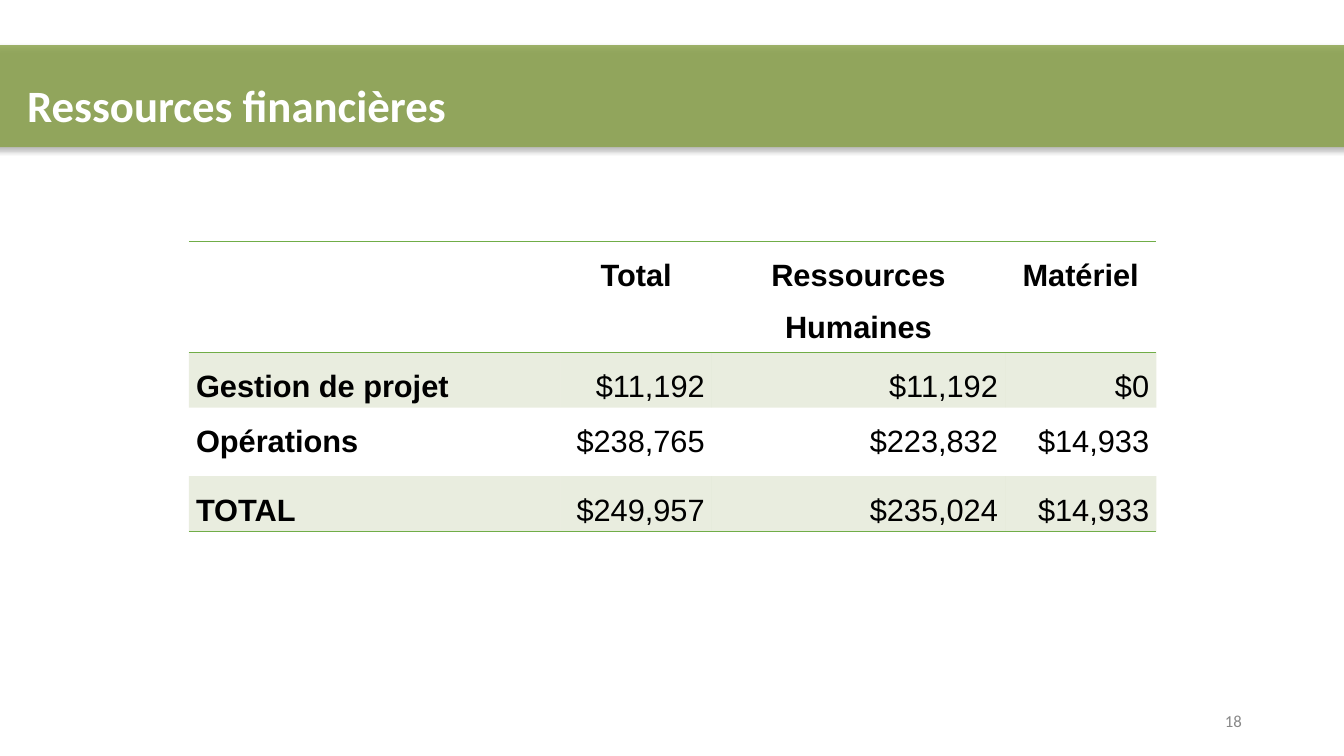
from lxml import etree
from pptx import Presentation
from pptx import util as u
from pptx.dml.color import RGBColor
from pptx.enum import shapes, text
from pptx.oxml import ns

COLOURS = {
    "band": "87A045",
    "row": "93A761",
    "rule": "70AD47",
    "title": "FFFFFF",
    "body": "000000",
    "number": "888888",
}
PLAIN_TABLE = "{2D5ABB26-0587-4C30-8999-92F81FD0307C}"
COLUMN_WIDTHS = (9.37, 3.81, 7.39, 3.81)
ROW_HEIGHTS = (1.52, 1.07, 1.73, 1.07)
BUDGET = (
    ("", "Total", "Ressources Humaines", "Matériel"),
    ("Gestion de projet", "$11,192", "$11,192", "$0"),
    ("Opérations", "$238,765", "$223,832", "$14,933"),
    ("TOTAL", "$249,957", "$235,024", "$14,933"),
)
SHADED_ROWS = (1, 3)
RULES = {0: ("lnT", "lnB"), 3: ("lnB",)}


def rgb(name):
    return RGBColor.from_string(COLOURS[name])


def add_child(parent, tag, **attributes):
    return etree.SubElement(parent, ns.qn(tag), attributes)


def fill_solid(fill, properties, name, opacity):
    fill.solid()
    fill.fore_color.rgb = rgb(name)
    colour = properties.find(ns.qn("a:solidFill")).find(ns.qn("a:srgbClr"))
    add_child(colour, "a:alpha", val=str(opacity * 1000))


def format_font(font, name, size, colour, bold=False):
    font.name = name
    font.size = u.Pt(size)
    font.bold = bold
    font.color.rgb = rgb(colour)


def add_band(slide):
    band = slide.shapes.add_shape(
        shapes.MSO_SHAPE.ROUNDED_RECTANGLE,
        u.Cm(-0.48), u.Cm(1.14), u.Cm(34.8), u.Cm(2.57))
    fill_solid(band.fill, band.element.spPr, "band", 80)
    band.line.fill.background()
    band.shadow.inherit = False
    effects = band.element.spPr.find(ns.qn("a:effectLst"))
    shadow = add_child(effects, "a:outerShdw", blurRad=str(u.Pt(3.5)),
                       dist=str(u.Pt(2.2)), dir="5400000", rotWithShape="0")
    colour = add_child(shadow, "a:srgbClr", val="000000")
    add_child(colour, "a:alpha", val="32000")
    return band


def format_title(title, band):
    band.element.addnext(title.element)
    title.left, title.top = u.Cm(0.43), u.Cm(1.7)
    title.width, title.height = u.Cm(33.43), u.Cm(1.5)
    frame = title.text_frame
    frame.text = "Ressources financières"
    frame.auto_size = text.MSO_AUTO_SIZE.NONE
    frame.vertical_anchor = text.MSO_ANCHOR.TOP
    paragraph = frame.paragraphs[0]
    paragraph.line_spacing = 1.09
    paragraph.alignment = text.PP_ALIGN.LEFT
    format_font(paragraph.font, "Calibri", 32, "title", True)


def add_slide_number(slide):
    box = slide.shapes.add_textbox(u.Cm(23.93), u.Cm(17.65), u.Cm(7.62), u.Cm(1.02))
    frame = box.text_frame
    frame.word_wrap = True
    frame.vertical_anchor = text.MSO_ANCHOR.MIDDLE
    frame.text = "18"
    paragraph = frame.paragraphs[0]
    paragraph.alignment = text.PP_ALIGN.RIGHT
    format_font(paragraph.font, "Calibri", 12, "number")


def add_cell_rule(cell, side, position):
    properties = cell._tc.get_or_add_tcPr()
    line = etree.Element(ns.qn(f"a:{side}"), w=str(u.Pt(1)))
    fill = add_child(line, "a:solidFill")
    add_child(fill, "a:srgbClr", val=COLOURS["rule"])
    properties.insert(position, line)


def cell_alignment(row, column):
    if row == 0:
        return text.PP_ALIGN.CENTER
    return text.PP_ALIGN.JUSTIFY if column == 0 else text.PP_ALIGN.RIGHT


def format_cell(cell, row, column):
    cell.margin_left = cell.margin_right = u.Cm(0.18)
    cell.margin_top = cell.margin_bottom = 0
    if BUDGET[row][column]:
        cell.text = BUDGET[row][column]
        paragraph = cell.text_frame.paragraphs[0]
        paragraph.line_spacing = 1.5
        paragraph.alignment = cell_alignment(row, column)
        format_font(paragraph.runs[0].font, "Arial", 22, "body",
                    row == 0 or column == 0)
    if row in SHADED_ROWS:
        fill_solid(cell.fill, cell._tc.get_or_add_tcPr(), "row", 20)
    else:
        cell.fill.background()
    for position, side in enumerate(RULES.get(row, ())):
        add_cell_rule(cell, side, position)


def add_budget_table(slide):
    shape = slide.shapes.add_table(
        len(ROW_HEIGHTS), len(COLUMN_WIDTHS), u.Cm(4.76), u.Cm(6.08),
        u.Cm(sum(COLUMN_WIDTHS)), u.Cm(sum(ROW_HEIGHTS)))
    table = shape.table
    table.first_row = table.horz_banding = False
    next(shape.element.iter(ns.qn("a:tableStyleId"))).text = PLAIN_TABLE
    for column, width in zip(table.columns, COLUMN_WIDTHS):
        column.width = u.Cm(width)
    for row, height in enumerate(ROW_HEIGHTS):
        table.rows[row].height = u.Cm(height)
        for column in range(len(COLUMN_WIDTHS)):
            format_cell(table.cell(row, column), row, column)


def main():
    presentation = Presentation()
    presentation.slide_width = u.Cm(33.87)
    presentation.slide_height = u.Cm(19.05)
    slide = presentation.slides.add_slide(presentation.slide_layouts[5])
    band = add_band(slide)
    format_title(slide.shapes.title, band)
    add_slide_number(slide)
    add_budget_table(slide)
    presentation.save("out.pptx")


if __name__ == "__main__":
    main()
